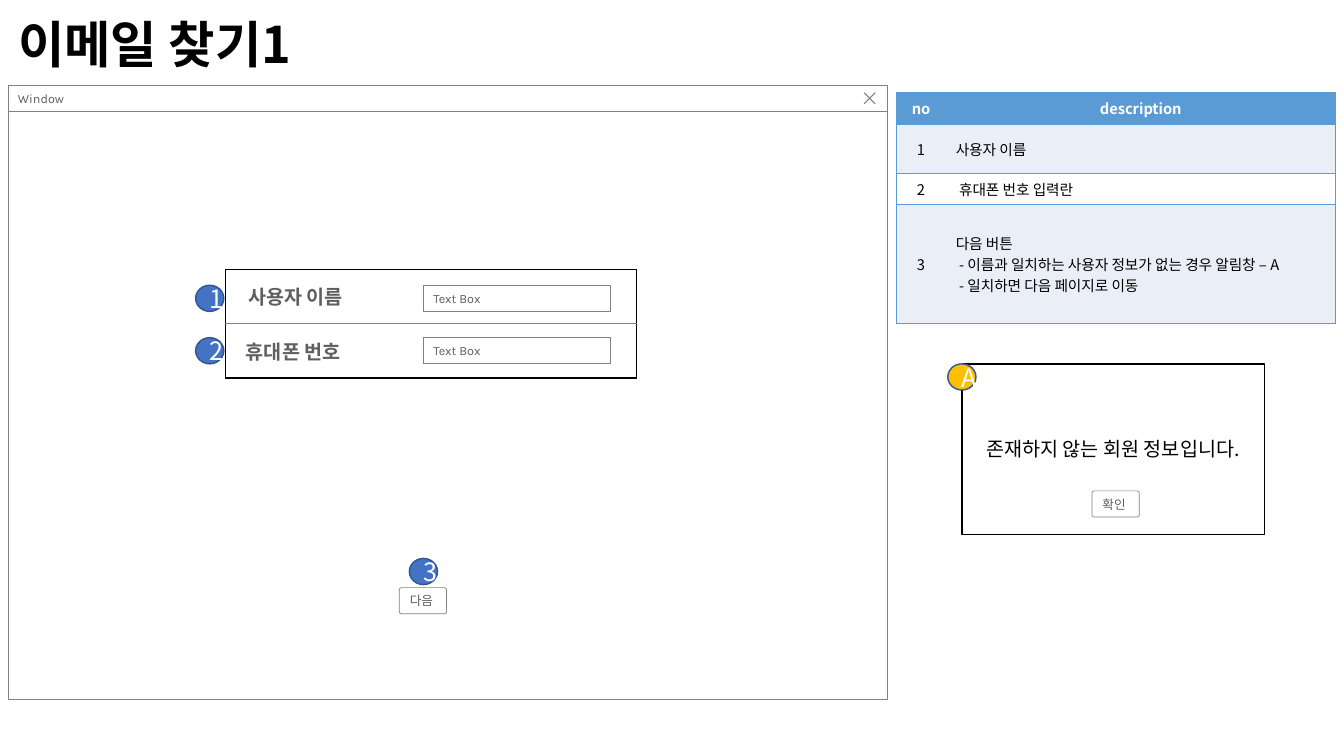
from pptx import Presentation, dml, util as u
from pptx.dml import color
from pptx.enum import shapes, text
from pptx.oxml import parse_xml
from pptx.oxml.ns import nsdecls, qn

SANS, KARLA = "Noto Sans CJK KR", "Karla"
BLACK, WHITE, GRAY, INK = "000000", "FFFFFF", "808080", "5F5F5F"
BLUE, PALE, NAVY, SKY, GOLD = "5B9BD5", "EAEFF7", "325491", "4472C4", "FFC000"
LEFT, MID = text.PP_ALIGN.LEFT, text.PP_ALIGN.CENTER
OVAL, RECT, ROUND = (shapes.MSO_SHAPE.OVAL, shapes.MSO_SHAPE.RECTANGLE,
                     shapes.MSO_SHAPE.ROUNDED_RECTANGLE)
SMALL = {"size": 9, "name": KARLA, "color": INK}


def rgb(code):
    return color.RGBColor.from_string(code)


def place(at):
    return [u.Inches(n) for n in at]


def write(frame, words, size, name=SANS, color=BLACK, bold=False, align=LEFT):
    """Fill a text frame, one paragraph for each line of words."""
    frame.text = words
    look = {"size": u.Pt(size), "bold": bold, "name": name}
    for para in frame.paragraphs:
        para.alignment = align
        for run in para.runs:
            for key, value in look.items():
                setattr(run.font, key, value)
            run.font.color.rgb = rgb(color)
            east = run.font._element.makeelement(qn("a:ea"), {"typeface": SANS})
            run.font._element.append(east)


def box(tree, kind, at, line, width, fill=WHITE):
    shape = tree.add_shape(kind, *place(at))
    shape.shadow.inherit = False
    shape.fill.solid()
    shape.fill.fore_color.rgb = rgb(fill)
    shape.line.color.rgb = rgb(line)
    shape.line.width = u.Pt(width)
    shape.text_frame.vertical_anchor = text.MSO_ANCHOR.MIDDLE
    shape.text_frame.word_wrap = True
    return shape


def pad(frame, **sides):
    for side, size in sides.items():
        setattr(frame, "margin_" + side, u.Inches(size))


def badge(tree, mark, x, y, fill=SKY):
    shape = box(tree, OVAL, (x, y, 0.28, 0.26), NAVY, 1, fill)
    write(shape.text_frame, mark, 18, color=WHITE, align=MID)


def field(tree, x, y):
    shape = box(tree, RECT, (x, y, 1.85, 0.26), GRAY, 0.5)
    pad(shape.text_frame, top=0.06, bottom=0.06)
    write(shape.text_frame, "Text Box", **SMALL)


def button(tree, words, x, y):
    shape = box(tree, ROUND, (x, y, 0.47, 0.26), GRAY, 0.5)
    shape.adjustments[0] = 0.09
    shape.text_frame.word_wrap = False
    shape.text_frame.auto_size = text.MSO_AUTO_SIZE.SHAPE_TO_FIT_TEXT
    write(shape.text_frame, words, **SMALL)


def window(tree):
    group = tree.add_group_shape().shapes
    box(group, RECT, (0.08, 1.11, 8.72, 5.83), GRAY, 0.5)
    bar = box(group, RECT, (0.08, 0.85, 8.72, 0.26), GRAY, 0.5)
    pad(bar.text_frame, right=0.25)
    write(bar.text_frame, "Window", **SMALL)
    x, y, right, low = place((8.57, 0.92, 8.68, 1.03))
    pen = group.build_freeform(right, y)
    pen.add_line_segments([(x, low)], close=False)
    pen.move_to(x, y)
    pen.add_line_segments([(right, low)], close=False)
    cross = pen.convert_to_shape()
    cross.shadow.inherit = False
    cross.fill.background()
    cross.line.color.rgb = rgb(GRAY)
    cross.line.width = u.Pt(0.75)


def edge(cell, side, line):
    """Draw one cell border; line is (colour, points) or None."""
    tint, width = line or (WHITE, 0)
    paint = f'<a:solidFill><a:srgbClr val="{tint}"/></a:solidFill>' if line else "<a:noFill/>"
    cell._tc.get_or_add_tcPr().append(parse_xml(
        f'<a:ln{side} {nsdecls("a")} w="{u.Pt(width)}">{paint}</a:ln{side}>'))


def grid(tree, x, y, cols, rows, outer, inner):
    """Add a plain table with an outer frame and inner horizontal rules."""
    at = place((x, y, sum(cols), sum(rows)))
    table = tree.add_table(len(rows), len(cols), *at).table
    table.first_row = table.horz_banding = False
    for col, size in zip(table.columns, cols):
        col.width = u.Inches(size)
    for row, size in zip(table.rows, rows):
        row.height = u.Inches(size)
    for i in range(len(rows)):
        for j in range(len(cols)):
            cell = table.cell(i, j)
            edge(cell, "L", None if j else outer)
            edge(cell, "R", outer if j == len(cols) - 1 else None)
            edge(cell, "T", inner if i else outer)
            edge(cell, "B", outer if i == len(rows) - 1 else inner)
            cell.fill.solid()
            cell.fill.fore_color.rgb = rgb(WHITE)
            cell.vertical_anchor = text.MSO_ANCHOR.MIDDLE
    return table


def notes(tree):
    rows = [("no", "description"), ("1", "사용자 이름"), ("2", " 휴대폰 번호 입력란"),
            ("3", "다음 버튼\n - 이름과 일치하는 사용자 정보가 없는 경우 알림창 – A\n"
                  " - 일치하면 다음 페이지로 이동")]
    rule = (BLUE, 1)
    table = grid(tree, 8.89, 0.92, (0.49, 3.87), (0.31, 0.49, 0.31, 1.18), rule, rule)
    for i, row in enumerate(rows):
        head = i == 0
        for j, words in enumerate(row):
            cell = table.cell(i, j)
            cell.fill.fore_color.rgb = rgb(BLUE if head else PALE if i % 2 else WHITE)
            if head:
                cell.vertical_anchor = text.MSO_ANCHOR.TOP
            write(cell.text_frame, words, 10.5, color=WHITE if head else BLACK,
                  bold=head, align=MID if head or j == 0 else LEFT)


def form(tree):
    table = grid(tree, 2.24, 2.67, (1.34, 2.73), (0.54, 0.54), (BLACK, 1), (GRAY, 0.5))
    for i, words in enumerate((" 사용자 이름", "휴대폰 번호")):
        write(table.cell(i, 0).text_frame, words, 14, KARLA, INK, True, MID)
        y = 2.83 + 0.52 * i
        badge(tree, str(i + 1), 1.94, y)
        field(tree, 4.2, y)


def alert(tree):
    panel = box(tree, RECT, (9.54, 3.61, 3, 1.69), BLACK, 1)
    write(panel.text_frame, "존재하지 않는 회원 정보입니다.", 14, align=MID)
    button(tree, "확인", 10.83, 4.87)
    badge(tree, "A", 9.4, 3.61, GOLD)


def head(title):
    title.left, title.top, title.width, title.height = place((0.08, 0.1, 7.68, 0.73))
    title.text_frame.vertical_anchor = text.MSO_ANCHOR.MIDDLE
    write(title.text_frame, "이메일 찾기1", 36, bold=True)
    title.text_frame.paragraphs[0].line_spacing = 0.9


def main():
    deck = Presentation()
    deck.slide_width, deck.slide_height = place((13.33, 7.5))
    slide = deck.slides.add_slide(deck.slide_layouts[5])
    tree = slide.shapes
    head(tree.title)
    window(tree)
    notes(tree)
    form(tree)
    alert(tree)
    button(tree, "다음", 3.96, 5.83)
    badge(tree, "3", 4.06, 5.54)
    deck.save("out.pptx")


if __name__ == "__main__":
    main()
